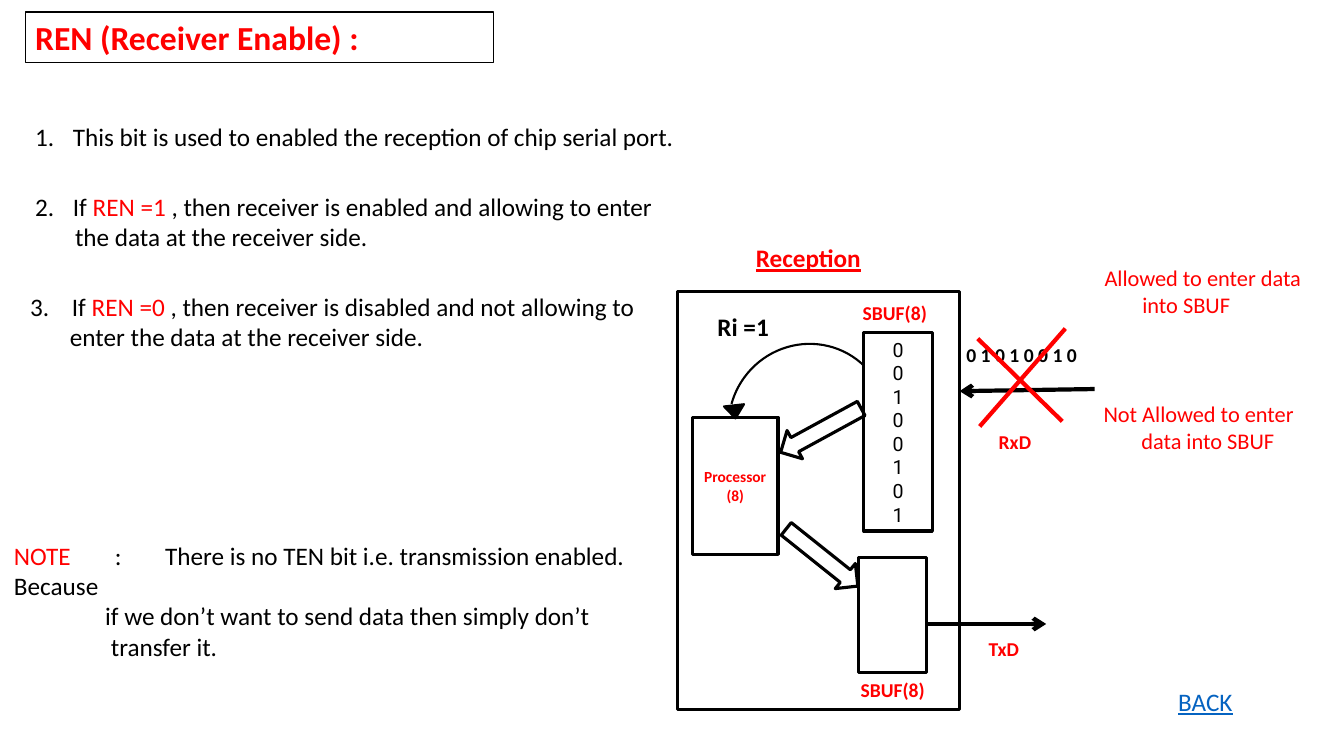
import pptx
import pptx.dml.color
import pptx.enum.shapes
import pptx.enum.text
import pptx.oxml
import pptx.oxml.ns
import pptx.util

Pt = pptx.util.Pt
SHAPE = pptx.enum.shapes.MSO_SHAPE
ALIGN = pptx.enum.text.PP_ALIGN
ANCHOR = pptx.enum.text.MSO_ANCHOR
BLACK, RED, BLUE = "000000", "FF0000", "0563C1"


def color(code):
    return pptx.dml.color.RGBColor.from_string(code)


def element(tag, parent, **attributes):
    child = pptx.oxml.parse_xml(f"<a:{tag} {pptx.oxml.ns.nsdecls('a')}/>")
    for name, value in attributes.items():
        child.set(name, str(value))
    parent.append(child)
    return child


def write(frame, text, size=18, ink=BLACK, bold=False, underline=False, font="Calibri",
          align=ALIGN.LEFT, margin=0, hang=0, number=None, tabs=()):
    first = not frame.text
    paragraph = frame.paragraphs[0] if first else frame.add_paragraph()
    paragraph.alignment = align
    properties = paragraph._p.get_or_add_pPr()
    properties.set("marL", str(Pt(margin)))
    properties.set("indent", str(-Pt(hang)))
    if number:
        element("buAutoNum", properties, type="arabicPeriod", startAt=number)
    if tabs:
        stops = element("tabLst", properties)
        for stop in tabs:
            element("tab", stops, pos=Pt(stop), algn="l")
    for words, run_ink in [(text, ink)] if isinstance(text, str) else text:
        run = paragraph.add_run()
        run.text = words
        run.font.name = font
        run.font.size = Pt(size)
        run.font.bold = bold
        run.font.underline = underline
        run.font.color.rgb = color(run_ink)


def text_box(slide, left, top, width, height, wrap=True):
    frame = slide.shapes.add_textbox(Pt(left), Pt(top), Pt(width), Pt(height)).text_frame
    frame.word_wrap = wrap
    return frame


def label(slide, text, left, top, width, height, wrap=True, **style):
    write(text_box(slide, left, top, width, height, wrap), text, **style)


def outline(slide, kind, left, top, width, height, weight=2.25, turn=0, fill=None):
    shape = slide.shapes.add_shape(kind, Pt(left), Pt(top), Pt(width), Pt(height))
    shape.shadow.inherit = False
    shape.rotation = turn
    shape.line.color.rgb = color(BLACK)
    shape.line.width = Pt(weight)
    if fill:
        shape.fill.solid()
        shape.fill.fore_color.rgb = color(fill)
    else:
        shape.fill.background()
    return shape


def stroke(slide, start, end, ink=BLACK, arrow=False):
    line = slide.shapes.add_connector(
        pptx.enum.shapes.MSO_CONNECTOR.STRAIGHT, *map(Pt, start + end))
    line.line.color.rgb = color(ink)
    line.line.width = Pt(3)
    if arrow:
        element("tailEnd", line.line._get_or_add_ln(), type="arrow")
    element("effectLst", line._element.spPr)


def heading(slide, left, top, width, height):
    title = outline(slide, SHAPE.RECTANGLE, left, top, width, height, weight=0.75)
    title.text_frame.vertical_anchor = ANCHOR.TOP
    write(title.text_frame, "REN (Receiver Enable) :", size=24, ink=RED, bold=True)


def rules(slide, left, top, width):
    label(slide, "This bit is used to enabled the reception of chip serial port.",
          left, top, width + 155, 29, margin=27, hang=27, number=1)

    enabled = text_box(slide, left, top + 50.4, width, 51)
    write(enabled, [("If ", BLACK), ("REN =1", RED),
                    (" , then receiver is enabled and allowing to enter", BLACK)],
          margin=27, hang=27, number=2)
    write(enabled, "the data at the receiver side.", margin=28.5)

    disabled = text_box(slide, left - 3.6, top + 121.7, width, 51)
    write(disabled, [("If ", BLACK), ("REN =0", RED),
                     (" , then receiver is disabled and not allowing to", BLACK)],
          margin=29.9, hang=29.9, number=3)
    write(disabled, "enter the data at the receiver side.", margin=28.5)


def transmit_note(slide, left, top, width, height):
    note = text_box(slide, left, top, width, height)
    write(note, [("NOTE\t", RED),
                 (":\tThere is no TEN bit i.e. transmission enabled. Because", BLACK)],
          tabs=(49.2, 62.2))
    write(note, "if we don’t want to send data then simply don’t", margin=65.1)
    write(note, "transfer it.", margin=69.2)


def reception_diagram(slide, left, top, width, height):
    outline(slide, SHAPE.RECTANGLE, left, top, width, height)
    label(slide, "Reception", left + 49, top - 38.2, 90, 28.8, wrap=False,
          ink=RED, bold=True, underline=True)
    label(slide, "Ri =1", left + 21.6, top + 10.8, 51.8, 28.8, wrap=False, bold=True)

    processor = outline(slide, SHAPE.RECTANGLE, left + 10.8, top + 90, 61.2, 97.9)
    for words in ("Processor", "(8)"):
        write(processor.text_frame, words, size=11, ink=RED, bold=True, align=ALIGN.CENTER)

    receive_buffer = outline(slide, SHAPE.RECTANGLE, left + 133.2, top + 29.5, 49, 141.8)
    for bit in "00100101":
        write(receive_buffer.text_frame, bit, size=14, font="Roboto", align=ALIGN.CENTER)
    outline(slide, SHAPE.RECTANGLE, left + 129.6, top + 190.1, 48.2, 82.1)

    for x, y, turn in ((69.8, 87.8, 151.4), (70.6, 178.6, 38.6)):
        outline(slide, SHAPE.RIGHT_ARROW, left + x, top + y, 65.5, 23, turn=turn)

    interrupt = outline(slide, SHAPE.ARC, left + 36, top + 38.2, 115.2, 113,
                        weight=1.5, turn=306.4)
    interrupt.adjustments[0] = 148.92
    interrupt.adjustments[1] = 4.19
    outline(slide, SHAPE.ISOSCELES_TRIANGLE, left + 33.8, top + 81.4, 14.4, 9.4,
            weight=1.5, turn=173.6, fill=BLACK)

    for name, x, y in (("SBUF(8)", 125.3, 3.6), ("SBUF(8)", 123.8, 272.9),
                       ("RxD", 222.5, 95.8), ("TxD", 215.3, 243.4)):
        label(slide, name, left + x, top + y, 76.3, 24.5, size=14, ink=RED, bold=True)
    stroke(slide, (left + 179.3, top + 237.6), (left + 263.5, top + 237.6), arrow=True)


def incoming_data(slide, left, top):
    label(slide, "0 1 0 1 0 0 1 0", left - 2.2, top + 33.1, 122.4, 24.5, size=14, bold=True)
    stroke(slide, (left + 96.5, top + 69.8), (left, top + 71.3), arrow=True)
    stroke(slide, (left + 13, top + 33.8), (left + 73.4, top + 92.9), RED)
    stroke(slide, (left + 75.6, top + 26.6), (left + 14.4, top + 96.5), RED)
    for words, x, y in (("Allowed to enter data into SBUF", 96.5, -23),
                        ("Not Allowed to enter data into SBUF", 95.8, 74.2)):
        label(slide, words, left + x, top + y, 165.6, 46, size=16, ink=RED,
              margin=27, hang=27)


def main():
    deck = pptx.Presentation()
    deck.slide_width, deck.slide_height = Pt(960), Pt(540)
    slide = deck.slides.add_slide(deck.slide_layouts[6])
    heading(slide, 18, 8.6, 334.8, 36.4)
    rules(slide, 18, 82.8, 480)
    transmit_note(slide, 2.9, 382.3, 480, 72.7)
    reception_diagram(slide, 483.8, 208.1, 201.6, 298.8)
    incoming_data(slide, 685.4, 208.1)
    label(slide, "BACK", 834.5, 486.7, 66.2, 28.8, ink=BLUE, underline=True)
    deck.save("out.pptx")


if __name__ == "__main__":
    main()
